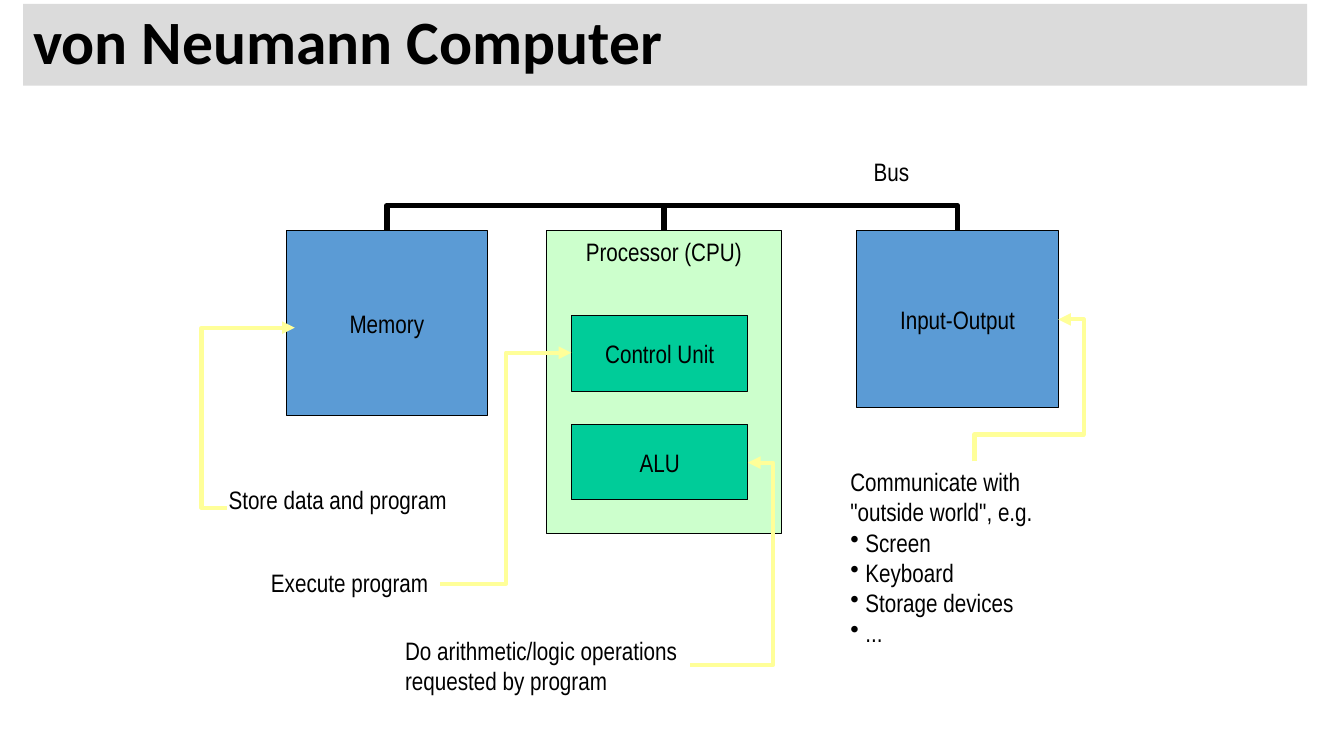
from dataclasses import dataclass

from lxml.etree import SubElement
from pptx import Presentation
from pptx.dml.color import RGBColor
from pptx.enum.shapes import MSO_CONNECTOR, MSO_SHAPE
from pptx.enum.text import MSO_ANCHOR as Anchor, MSO_AUTO_SIZE as AutoSize, PP_ALIGN as Align
from pptx.oxml.ns import qn
from pptx.slide import Slide
from pptx.util import Cm, Pt

COLORS = {
    "black": "000000",
    "title": "DBDBDB",
    "unit": "5B9BD5",
    "processor": "CCFFCC",
    "part": "00CC99",
    "hint": "FFFF99",
}
BODY_FONT = "Arial Narrow"
BULLET_INDENT = Cm(0.38)
UNIT_TOP = 5.82
BUS_TOP = 5.18
BUS_DROP = 0.01
MEMORY_X, PROCESSOR_X, IO_X = 9.75, 16.73, 24.13


@dataclass
class Block:
    text: str
    left: float
    top: float
    width: float
    height: float
    fill: str
    anchor: Anchor = Anchor.MIDDLE


@dataclass
class Label:
    lines: list[str]
    left: float
    top: float
    width: float
    height: float
    bullets_from: int = 99
    wrap: bool = False


@dataclass
class Wire:
    start: tuple[float, float]
    end: tuple[float, float]
    bends: list[float]
    starts_vertical: bool = False
    color: str = "hint"
    weight: float = 3
    arrow: bool = True


BLOCKS = [
    Block("Memory", 7.21, UNIT_TOP, 5.08, 4.65, "unit"),
    Block("Processor (CPU)", 13.77, UNIT_TOP, 5.92, 7.62, "processor", Anchor.TOP),
    Block("Input-Output", 21.59, UNIT_TOP, 5.08, 4.45, "unit"),
    Block("Control Unit", 14.4, 7.95, 4.45, 1.91, "part"),
    Block("ALU", 14.4, 10.69, 4.45, 1.91, "part"),
]

LABELS = [
    Label(["Bus"], 21.77, 3.81, 1.42, 1.02),
    Label(["Store data and program"], 5.51, 12.07, 6.1, 1.02),
    Label(["Execute program"], 6.58, 14.17, 4.52, 1.02),
    Label(["Do arithmetic/logic operations", "requested by program"], 9.96, 15.88, 7.44, 1.8),
    Label(
        ["Communicate with", '"outside world", e.g.', "Screen", "Keyboard", "Storage devices", "..."],
        21.18, 11.63, 6.78, 4.88, bullets_from=2, wrap=True,
    ),
]

BUS_WIRES = [
    Wire((left, UNIT_TOP), (right, UNIT_TOP + BUS_DROP), [BUS_TOP], True, "black", 4, False)
    for left, right in ((MEMORY_X, PROCESSOR_X), (PROCESSOR_X, IO_X))
]

HINT_WIRES = [
    Wire((5.72, 12.8), (7.43, 8.26), [5.08]),
    Wire((11.1, 14.71), (14.4, 8.89), [12.75]),
    Wire((17.4, 16.76), (18.85, 11.66), [19.48]),
    Wire((24.56, 11.63), (26.67, 8.05), [10.95, 27.31], True),
]


def rgb(name: str) -> RGBColor:
    return RGBColor.from_string(COLORS[name])


def style_font(font, name: str, size: float, bold: bool = False) -> None:
    font.name = name
    font.size = Pt(size)
    font.bold = bold
    font.color.rgb = rgb("black")


def draw_title(page: Slide, text: str) -> None:
    title = page.shapes.title
    title.left, title.top, title.width, title.height = Cm(0.58), Cm(0.1), Cm(32.36), Cm(2.06)
    title.fill.solid()
    title.fill.fore_color.rgb = rgb("title")
    frame = title.text_frame
    frame.text = text
    frame.auto_size = AutoSize.NONE
    frame.vertical_anchor = Anchor.MIDDLE
    para = frame.paragraphs[0]
    para.alignment = Align.LEFT
    para.line_spacing = 0.9
    style_font(para.runs[0].font, "Calibri", 44, True)


def draw_block(page: Slide, block: Block) -> None:
    box = page.shapes.add_shape(
        MSO_SHAPE.RECTANGLE, Cm(block.left), Cm(block.top), Cm(block.width), Cm(block.height)
    )
    box.shadow.inherit = False
    box.fill.solid()
    box.fill.fore_color.rgb = rgb(block.fill)
    box.line.color.rgb = rgb("black")
    box.line.width = Pt(0.75)
    frame = box.text_frame
    frame.text = block.text
    frame.word_wrap = False
    frame.vertical_anchor = block.anchor
    para = frame.paragraphs[0]
    para.alignment = Align.CENTER
    style_font(para.runs[0].font, BODY_FONT, 18)


def draw_label(page: Slide, label: Label) -> None:
    box = page.shapes.add_textbox(Cm(label.left), Cm(label.top), Cm(label.width), Cm(label.height))
    frame = box.text_frame
    frame.text = "\n".join(label.lines)
    frame.word_wrap = label.wrap
    frame.auto_size = AutoSize.SHAPE_TO_FIT_TEXT
    for index, para in enumerate(frame.paragraphs):
        if index >= label.bullets_from:
            props = para._p.get_or_add_pPr()
            props.set("marL", str(BULLET_INDENT))
            props.set("indent", str(-BULLET_INDENT))
            SubElement(props, qn("a:buChar"), char="•")
        style_font(para.runs[0].font, BODY_FONT, 18)


def draw_wire(page: Slide, wire: Wire) -> None:
    (x1, y1), (x2, y2) = wire.start, wire.end
    mid_x, mid_y = (x1 + x2) / 2, (y1 + y2) / 2
    run, rise = (y2 - y1, x1 - x2) if wire.starts_vertical else (x2 - x1, y2 - y1)
    line = page.shapes.add_connector(
        MSO_CONNECTOR.ELBOW,
        Cm(mid_x - run / 2), Cm(mid_y - rise / 2), Cm(mid_x + run / 2), Cm(mid_y + rise / 2),
    )
    line.line.color.rgb = rgb(wire.color)
    line.line.width = Pt(wire.weight)
    props = line._element.spPr
    if wire.starts_vertical:
        props.find(qn("a:xfrm")).set("rot", "5400000")
    geometry = props.find(qn("a:prstGeom"))
    geometry.set("prst", f"bentConnector{len(wire.bends) + 2}")
    guides = geometry.find(qn("a:avLst"))
    spans = [(x1, x2), (y1, y2)]
    if wire.starts_vertical:
        spans.reverse()
    for number, (bend, (begin, end)) in enumerate(zip(wire.bends, spans), 1):
        share = round((bend - begin) / (end - begin) * 100000)
        SubElement(guides, qn("a:gd"), name=f"adj{number}", fmla=f"val {share}")
    if wire.arrow:
        SubElement(props.find(qn("a:ln")), qn("a:tailEnd"), type="triangle")
    SubElement(props, qn("a:effectLst"))


def main() -> None:
    deck = Presentation()
    deck.slide_width, deck.slide_height = Cm(33.87), Cm(19.05)
    page = deck.slides.add_slide(deck.slide_layouts[5])
    draw_title(page, "von Neumann Computer")
    for block in BLOCKS:
        draw_block(page, block)
    for wire in BUS_WIRES + HINT_WIRES:
        draw_wire(page, wire)
    for label in LABELS:
        draw_label(page, label)
    deck.save("out.pptx")


if __name__ == "__main__":
    main()
